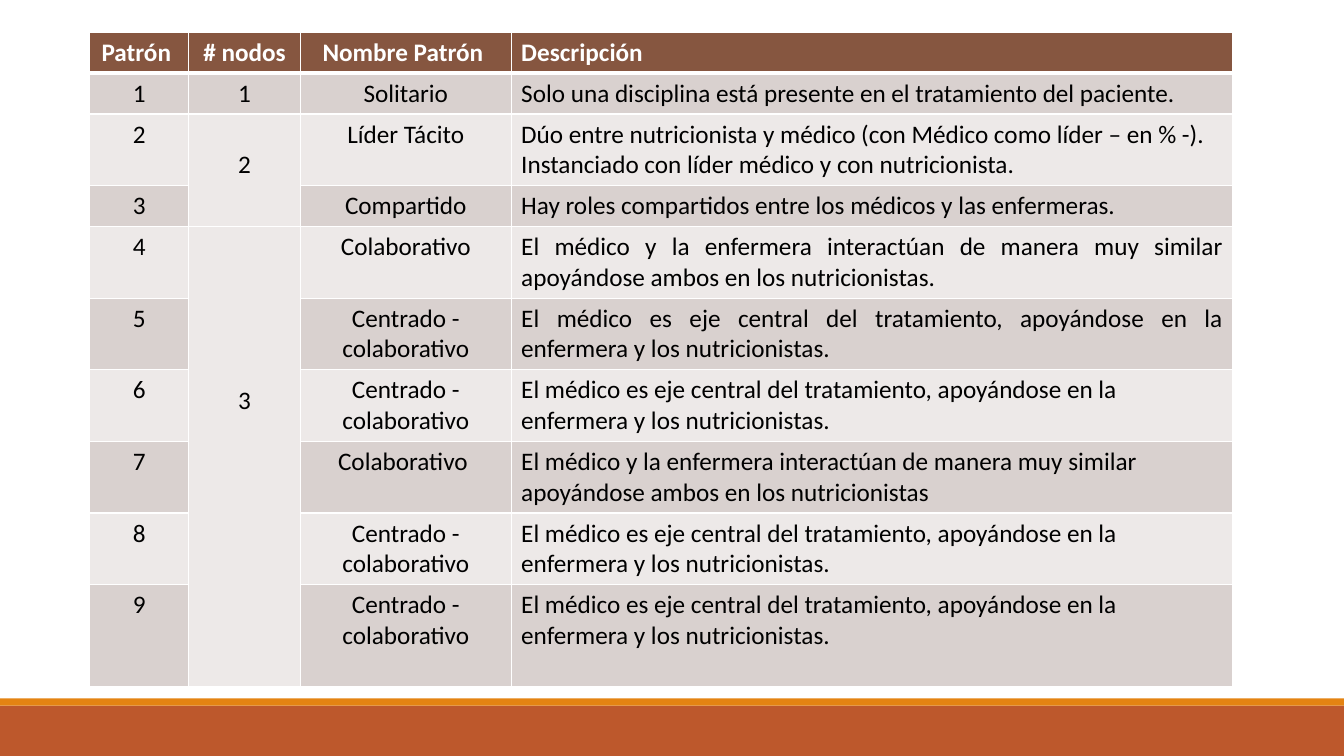
"""Build a slide with a table of the care patterns found among medical roles."""
from lxml import etree
from pptx import Presentation
from pptx.dml.color import RGBColor
from pptx.enum.shapes import MSO_SHAPE
from pptx.enum.text import PP_ALIGN
from pptx.oxml.ns import qn
from pptx.util import Inches, Pt

RECTANGLE = MSO_SHAPE.RECTANGLE
LEFT, CENTER, JUSTIFY = PP_ALIGN.LEFT, PP_ALIGN.CENTER, PP_ALIGN.JUSTIFY

CENTERED = "Centrado - colaborativo"
DOCTOR_AXIS = ("El médico es eje central del tratamiento, apoyándose en la "
               "enfermera y los nutricionistas.")
SIMILAR = ("El médico y la enfermera interactúan de manera muy similar "
           "apoyándose ambos en los nutricionistas")
DUO = ("Dúo entre nutricionista y médico (con Médico como líder – en % -).\n"
       "Instanciado con líder médico y con nutricionista.")

HEADER = ("Patrón ", "# nodos", "Nombre Patrón ", "Descripción")
PATTERNS = [
    ("1", "1", "Solitario",
     "Solo una disciplina está presente en el tratamiento del paciente."),
    ("2", "2", "Líder Tácito", DUO),
    ("3", "", "Compartido",
     "Hay roles compartidos entre los médicos y las enfermeras."),
    ("4", "3", "Colaborativo", SIMILAR + "."),
    ("5", "", CENTERED, DOCTOR_AXIS),
    ("6", "", CENTERED, DOCTOR_AXIS),
    ("7", "", "Colaborativo ", SIMILAR),
    ("8", "", CENTERED, DOCTOR_AXIS),
    ("9", "", CENTERED, DOCTOR_AXIS),
]
NODE_COLUMN, DESCRIPTION_COLUMN = 1, 3
LAST_JUSTIFIED_ROW = 5
NODE_GROUPS = [
    {"first": 2, "last": 3, "lines_above": 1},
    {"first": 4, "last": 9, "lines_above": 5},
]

COLUMN_WIDTHS = (0.98, 1.11, 2.09, 7.16)
SINGLE, DOUBLE, FINAL = 0.4, 0.71, 1.01
ROW_HEIGHTS = (SINGLE, SINGLE, DOUBLE, SINGLE) + (DOUBLE,) * 5 + (FINAL,)
TABLE_LEFT, TABLE_TOP = 0.89, 0.32
CELL_MARGIN, LINE_HEIGHT = 0.05, 0.305
SLIDE_WIDTH, SLIDE_HEIGHT = 13.33, 7.5
FOOTER_BANDS = [(7, 0.5, "footer"), (6.93, 0.07, "accent")]

THEME = {
    "font": "Calibri", "size": 18, "border": 1, "header_border": 3,
    "header": "865640", "odd": "D9D1CF", "even": "EDE9E8",
    "footer": "BD582C", "accent": "E48312",
    "white": "FFFFFF", "black": "000000",
}


def color(name):
    return RGBColor.from_string(THEME[name])


def paint(item, name):
    item.fill.solid()
    item.fill.fore_color.rgb = color(name)


def add_band(slide, top, height, name):
    band = slide.shapes.add_shape(RECTANGLE, 0, Inches(top),
                                  Inches(SLIDE_WIDTH), Inches(height))
    band.shadow.inherit = False
    band.line.fill.background()
    paint(band, name)


def add_borders(cell, widths):
    properties = cell._tc.get_or_add_tcPr()
    for side, width in widths.items():
        line = etree.SubElement(properties, qn("a:ln" + side), w=str(Pt(width)))
        fill = etree.SubElement(line, qn("a:solidFill"))
        etree.SubElement(fill, qn("a:srgbClr"), val=THEME["white"])


def write(cell, text, alignment, is_header):
    cell.text_frame.text = text
    font = {"name": THEME["font"], "size": Pt(THEME["size"]), "bold": is_header}
    for para in cell.text_frame.paragraphs:
        para.alignment = alignment
        for item in [para, *para.runs]:
            for key, value in font.items():
                setattr(item.font, key, value)
            item.font.color.rgb = color("white" if is_header else "black")


def alignment_for(row, column):
    if column != DESCRIPTION_COLUMN:
        return CENTER
    return JUSTIFY if 1 <= row <= LAST_JUSTIFIED_ROW else LEFT


def add_pattern_table(slide):
    rows = [HEADER, *PATTERNS]
    frame = slide.shapes.add_table(
        len(rows), len(HEADER), Inches(TABLE_LEFT), Inches(TABLE_TOP),
        Inches(sum(COLUMN_WIDTHS)), Inches(sum(ROW_HEIGHTS)))
    table = frame.table
    for column, width in zip(table.columns, COLUMN_WIDTHS):
        column.width = Inches(width)
    for row, height in zip(table.rows, ROW_HEIGHTS):
        row.height = Inches(height)

    thin, thick = THEME["border"], THEME["header_border"]
    for row, values in enumerate(rows):
        fill = "header" if row == 0 else "odd" if row % 2 else "even"
        widths = {"L": thin, "R": thin, "T": thick if row == 1 else thin,
                  "B": thick if row == 0 else thin}
        for column, text in enumerate(values):
            cell = table.cell(row, column)
            write(cell, text, alignment_for(row, column), row == 0)
            add_borders(cell, widths)
            paint(cell, fill)

    for group in NODE_GROUPS:
        node_cell = table.cell(group["first"], NODE_COLUMN)
        node_cell.merge(table.cell(group["last"], NODE_COLUMN))
        node_cell.margin_top = Inches(
            CELL_MARGIN + group["lines_above"] * LINE_HEIGHT)


def main():
    deck = Presentation()
    deck.slide_width, deck.slide_height = Inches(SLIDE_WIDTH), Inches(SLIDE_HEIGHT)
    slide = deck.slides.add_slide(deck.slide_layouts.get_by_name("Blank"))
    for band in FOOTER_BANDS:
        add_band(slide, *band)
    add_pattern_table(slide)
    deck.save("out.pptx")


if __name__ == "__main__":
    main()
